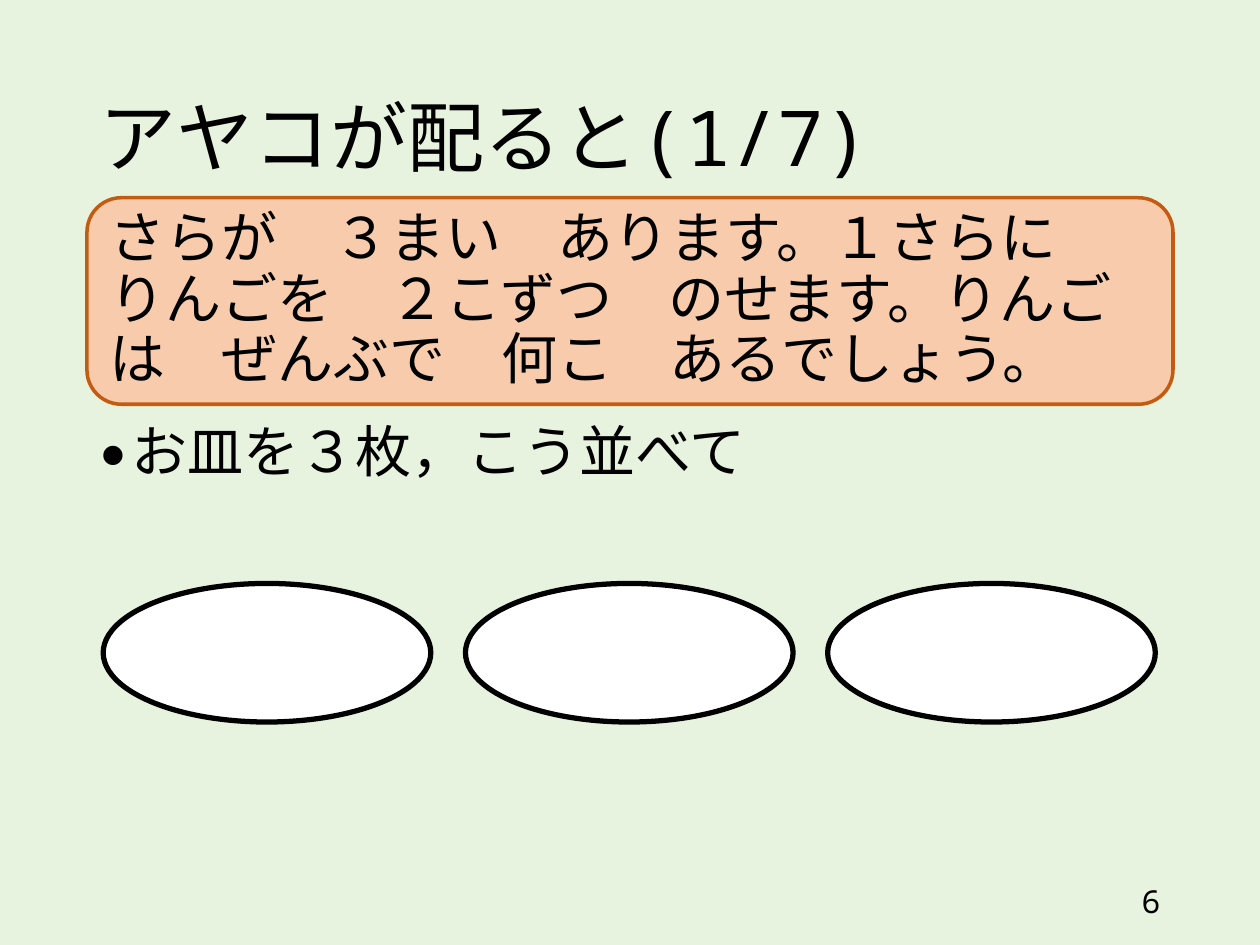
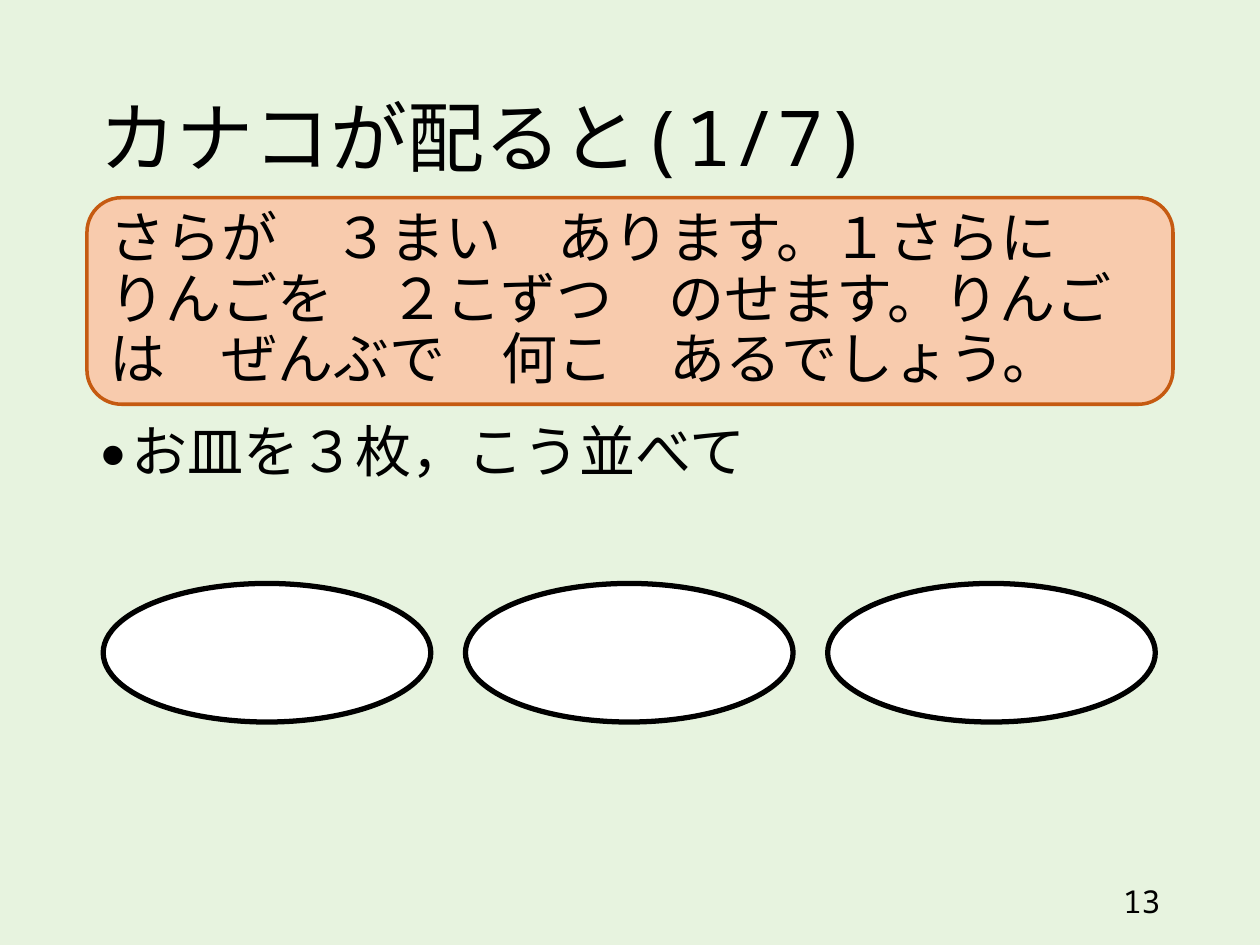
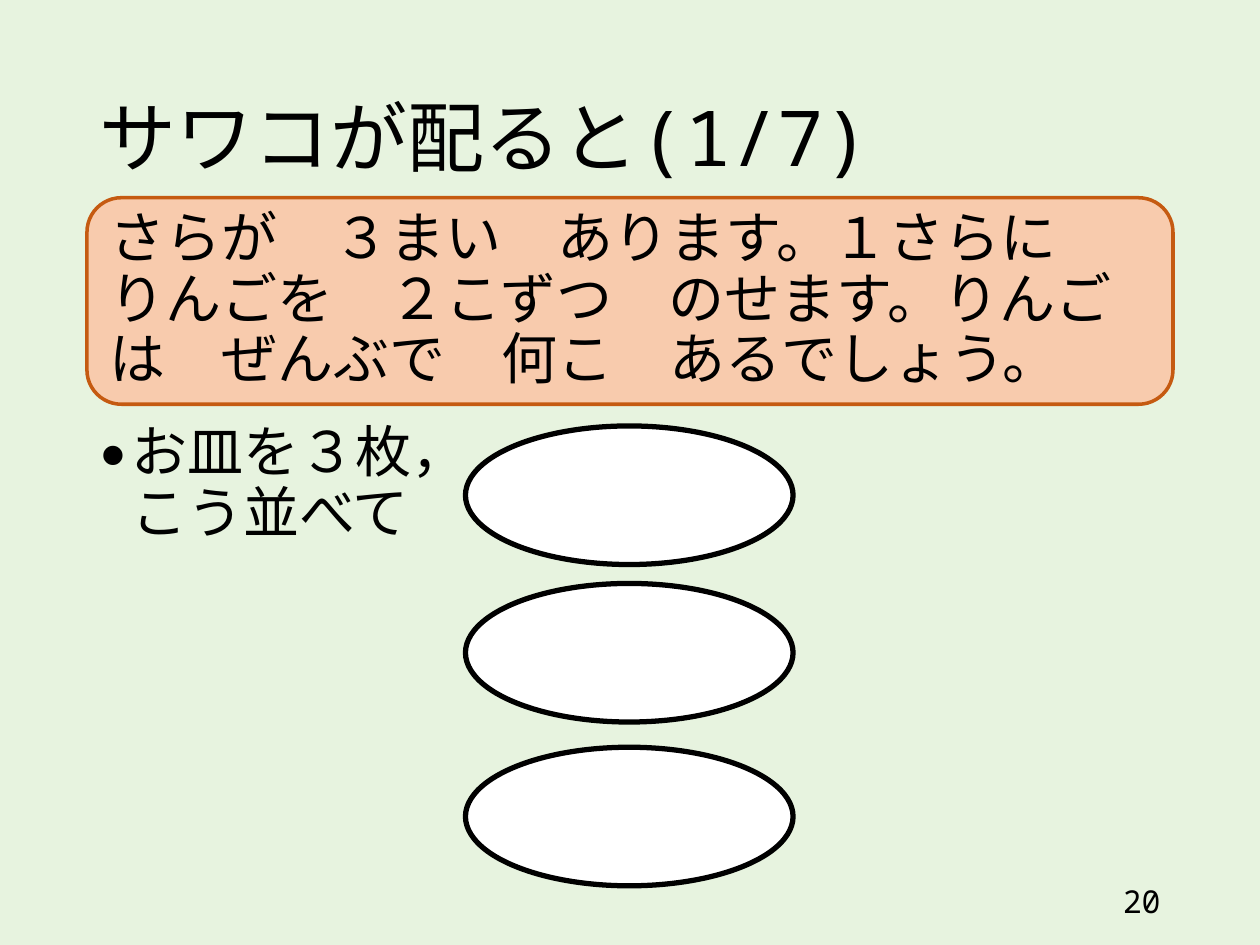
"""Build three slides on dealing two apples onto each of three plates."""
from lxml.etree import SubElement
from pptx import Presentation
from pptx.dml.color import RGBColor
from pptx.enum.shapes import MSO_SHAPE as Shape
from pptx.enum.text import MSO_ANCHOR as Anchor, MSO_AUTO_SIZE as AutoSize, PP_ALIGN as Align
from pptx.oxml.ns import qn
from pptx.util import Pt

PALE_GREEN = RGBColor(0xE7, 0xF3, 0xDF)
PEACH = RGBColor(0xF8, 0xCB, 0xAD)
ORANGE = RGBColor(0xC5, 0x5A, 0x11)
BLACK = RGBColor(0, 0, 0)
WHITE = RGBColor(0xFF, 0xFF, 0xFF)
MONO, GOTHIC = "Noto Sans Mono", "Noto Sans CJK JP"

PROBLEM = "さらが　３まい　あります。１さらに　りんごを　２こずつ　のせます。りんごは　ぜんぶで　何こ　あるでしょう。"
BREAK = "\n"
ONE_LINE = [("お皿を", MONO), ("３", GOTHIC), ("枚，こう並べて", MONO)]
TWO_LINES = [("お皿を", MONO), ("３", GOTHIC), ("枚，", MONO), (BREAK, MONO), ("こう並べて", MONO)]

PLATE_WIDTH, PLATE_HEIGHT = 187.2, 79.2
COLUMNS = [59 + 207 * column for column in range(3)]
ROWS = [243.4, 333.4, 427]
ACROSS = [(left, ROWS[1]) for left in COLUMNS]
DOWN = [(COLUMNS[1], top) for top in ROWS]

LEFT, WIDTH = 49.7, 620.6
SLIDES = [
    ("アヤコ", "6", ONE_LINE, ACROSS),
    ("カナコ", "13", ONE_LINE, ACROSS),
    ("サワコ", "20", TWO_LINES, DOWN),
]


def place(part, left, top, width, height):
    part.left, part.top, part.width, part.height = map(Pt, (left, top, width, height))


def write(part, pieces, size, anchor=Anchor.MIDDLE, align=Align.LEFT, before=0, spacing=0.9):
    frame = part.text_frame
    frame.word_wrap = True
    frame.auto_size = AutoSize.NONE
    frame.vertical_anchor = anchor
    paragraph = frame.paragraphs[0]
    paragraph.alignment = align
    paragraph.line_spacing = spacing
    paragraph.space_before = Pt(before)
    for words, face in pieces:
        if words == BREAK:
            paragraph.add_line_break()
            continue
        run = paragraph.add_run()
        run.text = words
        run.font.size = Pt(size)
        run.font.color.rgb = BLACK
        run.font.name = face
        SubElement(run.font._element, qn("a:ea"), typeface=face)
    return paragraph


def add_bullet(paragraph):
    properties = paragraph._p.get_or_add_pPr()
    properties.set("marL", str(Pt(18)))
    properties.set("indent", str(-Pt(18)))
    SubElement(properties, qn("a:buSzPct"), val="80000")
    SubElement(properties, qn("a:buFont"), typeface=MONO)
    SubElement(properties, qn("a:buChar"), char="●")


def add_outlined(slide, preset, box, fill, line, weight):
    outlined = slide.shapes.add_shape(preset, *map(Pt, box))
    outlined.shadow.inherit = False
    outlined.fill.solid()
    outlined.fill.fore_color.rgb = fill
    outlined.line.color.rgb = line
    outlined.line.width = Pt(weight)
    return outlined


def add_dealing_slide(deck, child, number, instruction, plates):
    slide = deck.slides.add_slide(deck.slide_layouts[1])
    title, body = slide.placeholders
    place(title, LEFT, 28.8, WIDTH, 104.4)
    write(title, [(f"{child}が配ると(1/7)", MONO)], 44)
    place(body, LEFT, 239, WIDTH, 247)
    add_bullet(write(body, instruction, 32, Anchor.TOP, before=10))

    page = slide.shapes.add_textbox(*map(Pt, (508.3, 500.4, 162, 28.8)))
    write(page, [(number, MONO)], 18, align=Align.RIGHT, spacing=1)

    for left, top in plates:
        add_outlined(slide, Shape.OVAL, (left, top, PLATE_WIDTH, PLATE_HEIGHT), WHITE, BLACK, 3)
    problem = add_outlined(slide, Shape.ROUNDED_RECTANGLE, (LEFT, 113, WIDTH, 118), PEACH, ORANGE, 2)
    write(problem, [(PROBLEM, GOTHIC)], 32, before=10)


def main():
    deck = Presentation()
    deck.slide_width, deck.slide_height = Pt(720), Pt(540)
    background = deck.slide_master.background.fill
    background.solid()
    background.fore_color.rgb = PALE_GREEN
    for content in SLIDES:
        add_dealing_slide(deck, *content)
    deck.save("out.pptx")


if __name__ == "__main__":
    main()
